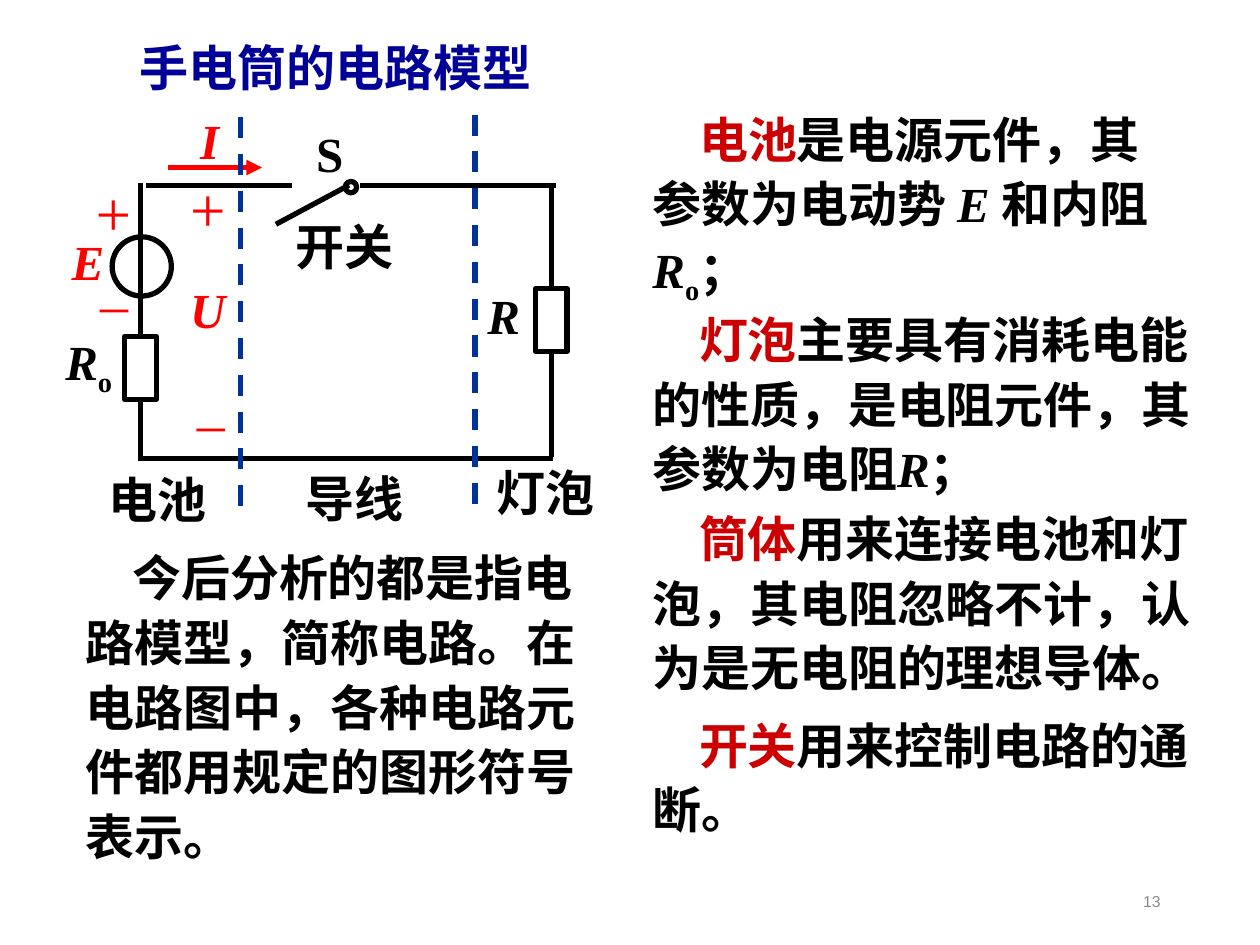
from dataclasses import dataclass
from typing import NamedTuple, Optional

from lxml.etree import SubElement
from pptx import Presentation
from pptx.dml.color import RGBColor
from pptx.enum.dml import MSO_LINE_DASH_STYLE as Dash
from pptx.enum.shapes import MSO_CONNECTOR as Link, MSO_SHAPE as Kind
from pptx.enum.text import MSO_ANCHOR as Anchor, MSO_AUTO_SIZE as Fit, PP_ALIGN as Align
from pptx.oxml.ns import qn
from pptx.util import Inches, Pt


@dataclass(frozen=True)
class Theme:
    ink: str = "000000"
    head: str = "000099"
    key: str = "CC0000"
    sign: str = "FF0000"
    split: str = "003399"
    page: str = "898989"
    latin: str = "Times New Roman"
    han: str = "Noto Sans CJK SC"
    sans: str = "Arial"
    text: int = 28
    plus: int = 36
    minus: int = 32
    small: int = 9
    line: int = 3


class Span(NamedTuple):
    """A stretch of text with one format."""
    text: str
    color: str = Theme.ink
    bold: bool = True
    italic: bool = False
    sub: bool = False
    size: int = Theme.text
    font: str = Theme.latin


class Box(NamedTuple):
    """Left, top, width and height in grid columns and rows."""
    x: float
    y: float
    w: float
    h: float


class Label(NamedTuple):
    box: Box
    spans: list
    align: Align = Align.LEFT
    lines: float = 1.0


T = Theme()
COLS, ROWS = 100, 75
prs = Presentation()
prs.slide_width, prs.slide_height = Inches(10), Inches(7.5)
slide = prs.slides.add_slide(prs.slide_layouts[1])
shapes = slide.shapes


def col(n: float) -> int:
    return round(prs.slide_width * n / COLS)


def row(n: float) -> int:
    return round(prs.slide_height * n / ROWS)


def grid(box: Box) -> tuple:
    return col(box.x), row(box.y), col(box.w), row(box.h)


def style(run, span: Span) -> None:
    run.text = span.text
    font = run.font
    font.name, font.size = span.font, Pt(span.size)
    font.bold, font.italic = span.bold, span.italic
    font.color.rgb = RGBColor.from_string(span.color)
    props = run._r.get_or_add_rPr()
    if any(c > "⿿" for c in span.text):
        SubElement(props, qn("a:ea")).set("typeface", T.han)
    if span.sub:
        props.set("baseline", "-25000")


def fill(shape, label: Label, indent: float = 0, right: float = 0) -> None:
    shape.left, shape.top, shape.width, shape.height = grid(label.box)
    frame = shape.text_frame
    frame.word_wrap, frame.auto_size = True, Fit.NONE
    frame.vertical_anchor = Anchor.TOP
    frame.margin_left = 0 if label.align == Align.CENTER else col(1)
    frame.margin_right = col(right)
    frame.margin_top = frame.margin_bottom = row(0.5)
    para = frame.paragraphs[0]
    para.alignment, para.line_spacing = label.align, label.lines
    para.space_before = Pt(0)
    props = para._p.get_or_add_pPr()
    props.set("marL", "0")
    props.set("indent", str(col(indent)))
    SubElement(props, qn("a:buNone"))
    for span in label.spans:
        style(para.add_run(), span)


def write(label: Label, indent: float = 0, right: float = 0):
    shape = shapes.add_textbox(*grid(label.box))
    fill(shape, label, indent, right)
    return shape


def symbol(kind: Kind, box: Box):
    shape = shapes.add_shape(kind, *grid(box))
    shape.shadow.inherit = False
    shape.fill.background()
    shape.line.color.rgb = RGBColor.from_string(T.ink)
    shape.line.width = Pt(T.line)
    return shape


def wire(a: tuple, b: tuple, color: str = T.ink, dash: Optional[Dash] = None,
         arrow: bool = False):
    line = shapes.add_connector(Link.STRAIGHT, col(a[0]), row(a[1]), col(b[0]), row(b[1]))
    line.line.color.rgb = RGBColor.from_string(color)
    line.line.width = Pt(T.line)
    if dash:
        line.line.dash_style = dash
    if arrow:
        SubElement(line.line._get_or_add_ln(), qn("a:tailEnd")).set("type", "triangle")
    SubElement(line._element.spPr, qn("a:effectLst"))
    return line


def sign(x: float, y: float, text: str) -> Label:
    plus = text == "+"
    box = Box(x, y, 4.8, 7) if plus else Box(x, y, 5.3, 6.4)
    span = Span(text, T.sign, bold=False, size=T.plus if plus else T.minus)
    return Label(box, [span], Align.CENTER)


def name(x: float, y: float, text: str, color: str = T.ink, italic: bool = False,
         lines: float = 1.0) -> Label:
    return Label(Box(x, y, 9.9, 5.7), [Span(text, color, italic=italic)], lines=lines)


# Title and closing note
fill(shapes.title, Label(Box(10.1, 2.5, 34, 5.7),
                         [Span("手电筒的电路模型", T.head, font=T.han)]))
note = "今后分析的都是指电路模型，简称电路。在电路图中，各种电路元件都用规定的图形符号表示。"
fill(slide.placeholders[1], Label(Box(5.8, 42.5, 44.2, 26.7), [Span(note)], lines=1.1),
     indent=3.7, right=1)

# Battery, lamp and switch
symbol(Kind.OVAL, Box(8.9, 18.8, 4.7, 4.7))
inner = symbol(Kind.RECTANGLE, Box(9.9, 26.7, 2.5, 5))
lamp = symbol(Kind.RECTANGLE, Box(42.5, 22.9, 2.5, 5))
symbol(Kind.OVAL, Box(27.4, 14.4, 0.9, 0.9))

# Wires
left, right, top, base = 11.15, 43.75, 14.7, 36.4
wire((left, 26.7), (left, 14.5)).begin_connect(inner, 0)
wire((left, 31.7), (left, 36.6)).begin_connect(inner, 2)
wire((right, 14.5), (right, 22.9)).end_connect(lamp, 0)
wire((right, 27.9), (right, 36.3)).begin_connect(lamp, 2)
for a, b in [((11.1, base), (43.9, base)), ((11.6, top), (23.2, top)),
             ((28.6, top), (44.1, top)), ((21.9, 17.8), (27.7, top))]:
    wire(a, b)
wire((13.3, 13.3), (20.8, 13.3), T.sign, arrow=True)
for x, y in [(19.1, 9.3), (37.7, 9.1)]:
    wire((x, y), (x, y + 31.2), T.split, Dash.DASH)

# Circuit labels
for label in [
    sign(6.6, 13.3, "+"), sign(14.1, 13, "+"),
    sign(6.4, 20.8, "–"), sign(14.1, 30.3, "–"),
    name(37.7, 22.2, "R", italic=True),
    name(4.7, 17.9, "E", T.sign, True),
    name(14.1, 21.7, "U", T.sign, True),
    name(14.9, 8.3, "I", T.sign, True),
    name(24.1, 9.3, "S"),
    name(7.6, 36.8, "电池"), name(23.3, 36.7, "导线"),
    name(38.4, 37.5, "灯泡", lines=0.7), name(22.5, 16.7, "开关"),
    Label(Box(4.2, 25.8, 6.6, 6.3), [Span("R", italic=True), Span("o", sub=True)]),
]:
    write(label)

# Explanations
for y, w, h, spans in [
    (7.7, 44.2, 17.1, [Span("电池", T.key), Span("是电源元件，其参数为电动势 "),
                       Span("E ", italic=True), Span("和内阻"),
                       Span("R", italic=True), Span("o", sub=True), Span("；")]),
    (23.6, 45, 16.4, [Span("灯泡", T.key),
                      Span("主要具有消耗电能的性质，是电阻元件，其参数为电阻"),
                      Span("R", italic=True), Span("；")]),
    (39.4, 46.7, 16.4, [Span("筒体", T.key),
                        Span("用来连接电池和灯泡，其电阻忽略不计，认为是无电阻的理想导体。")]),
    (55.8, 45, 11.3, [Span("开关", T.key), Span("用来控制电路的通断。")]),
]:
    write(Label(Box(50.8, y, w, h), spans, lines=1.1), indent=3.7, right=1)

# Page number
page = write(Label(Box(70.6, 69.5, 22.5, 4),
                   [Span("13", T.page, bold=False, size=T.small, font=T.sans)],
                   Align.RIGHT), right=1)
page.text_frame.vertical_anchor = Anchor.MIDDLE

prs.save("out.pptx")
